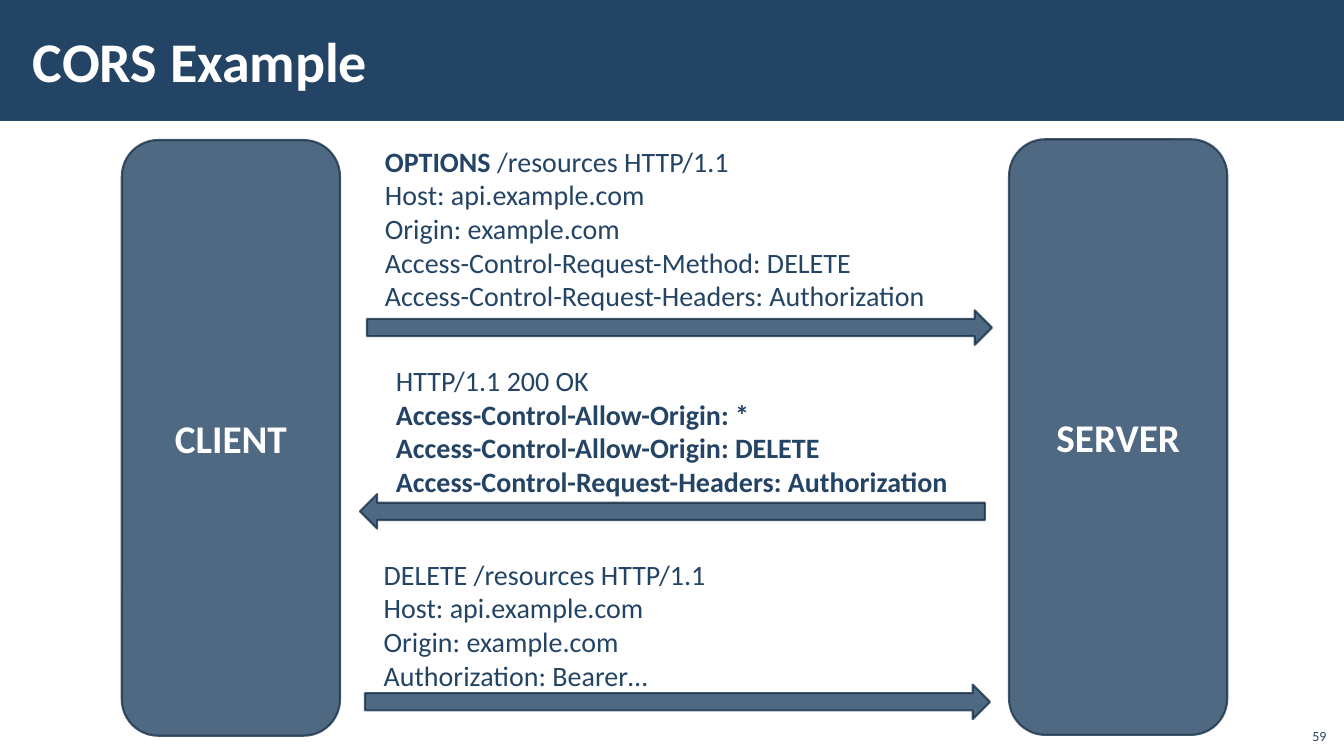
from dataclasses import dataclass

from lxml.etree import SubElement
from pptx import Presentation
from pptx.dml.color import RGBColor
from pptx.enum.shapes import MSO_SHAPE as Preset
from pptx.enum.text import MSO_ANCHOR as Anchor, MSO_AUTO_SIZE as AutoSize, PP_ALIGN as Align
from pptx.oxml.ns import qn
from pptx.util import Cm, Pt


@dataclass(frozen=True)
class Theme:
    navy: RGBColor = RGBColor(0x23, 0x44, 0x65)
    outline: RGBColor = RGBColor(0x1A, 0x33, 0x4C)
    white: RGBColor = RGBColor(0xFF, 0xFF, 0xFF)
    font: str = "Calibri"
    title: int = 40
    party: int = 28
    message: int = 20
    number: int = 10


theme = Theme()


def add_run(paragraph, text, size, color, bold=False):
    run = paragraph.add_run()
    run.text = text
    run.font.name = theme.font
    run.font.size = Pt(size)
    run.font.bold = bold
    run.font.color.rgb = color


def add_translucent(preset, left, top, width, height):
    shape = slide.shapes.add_shape(preset, Cm(left), Cm(top), Cm(width), Cm(height))
    shape.shadow.inherit = False
    shape.fill.solid()
    shape.fill.fore_color.rgb = theme.navy
    shape.line.color.rgb = theme.outline
    shape.line.width = Pt(1.5)
    for color in shape.element.iter(qn("a:srgbClr")):
        SubElement(color, qn("a:alpha"), val="80000")
    return shape


deck = Presentation()
deck.slide_width, deck.slide_height = Cm(33.87), Cm(19.05)
slide = deck.slides.add_slide(deck.slide_layouts[5])

# Title on its band
title = slide.shapes.title
band = slide.shapes.add_shape(Preset.RECTANGLE, 0, 0, deck.slide_width, Cm(3.05))
band.shadow.inherit = False
band.fill.solid()
band.fill.fore_color.rgb = theme.navy
band.line.fill.background()
title.element.addprevious(band.element)

title.left, title.top, title.width, title.height = Cm(0.53), Cm(0.28), Cm(27), Cm(2.46)
heading = title.text_frame
heading.auto_size = AutoSize.NONE
heading.vertical_anchor = Anchor.MIDDLE
heading.margin_left = heading.margin_right = Cm(0.3)
heading.margin_top = heading.margin_bottom = Cm(0.1)
heading.paragraphs[0].alignment = Align.LEFT
add_run(heading.paragraphs[0], "CORS Example", theme.title, theme.white, True)

# The two parties
for name, left, top in [("CLIENT", 3.07, 3.53), ("SERVER", 25.43, 3.51)]:
    party = add_translucent(Preset.ROUNDED_RECTANGLE, left, top, 5.5, 15.01)
    party.text_frame.vertical_anchor = Anchor.MIDDLE
    label = party.text_frame.paragraphs[0]
    label.alignment = Align.CENTER
    add_run(label, name, theme.party, theme.white, True)

# Arrows between the parties: left, top, rotation
for left, top, rotation in [(9.25, 7.82, 0), (9.07, 12.45, 180), (9.2, 17.25, 0)]:
    arrow = add_translucent(Preset.RIGHT_ARROW, left, top, 15.75, 0.87)
    arrow.rotation = rotation

# Messages: left, top, height, lines made of (text, bold) runs
messages = [
    (9.45, 3.51, 4.52, [
        [("OPTIONS", True), (" /resources HTTP/1.1", False)],
        [("Host: api.example.com", False)],
        [("Origin: example.com", False)],
        [("Access-Control-Request-Method: DELETE", False)],
        [("Access-Control-Request-Headers: Authorization", False)],
    ]),
    (9.73, 9.04, 3.68, [
        [("HTTP/1.1 200 OK", False)],
        [("Access-Control-Allow-Origin: *", True)],
        [("Access-Control-Allow-Origin: DELETE", True)],
        [("Access-Control-Request-Headers: Authorization", True)],
    ]),
    (9.42, 13.92, 3.68, [
        [("DELETE /resources HTTP/1.1", False)],
        [("Host: api.example.com", False)],
        [("Origin: example.com", False)],
        [("Authorization: Bearer…", False)],
    ]),
]
for left, top, height, lines in messages:
    message = slide.shapes.add_textbox(Cm(left), Cm(top), Cm(16.92), Cm(height)).text_frame
    message.word_wrap = True
    for index, line in enumerate(lines):
        paragraph = message.add_paragraph() if index else message.paragraphs[0]
        for text, bold in line:
            add_run(paragraph, text, theme.message, theme.navy, bold)

# Slide number
number = slide.shapes.add_textbox(Cm(32.66), Cm(18.08), Cm(1.02), Cm(0.81)).text_frame
number.word_wrap = True
number.vertical_anchor = Anchor.BOTTOM
number.paragraphs[0].alignment = Align.RIGHT
add_run(number.paragraphs[0], "59", theme.number, theme.navy)

deck.save("out.pptx")
